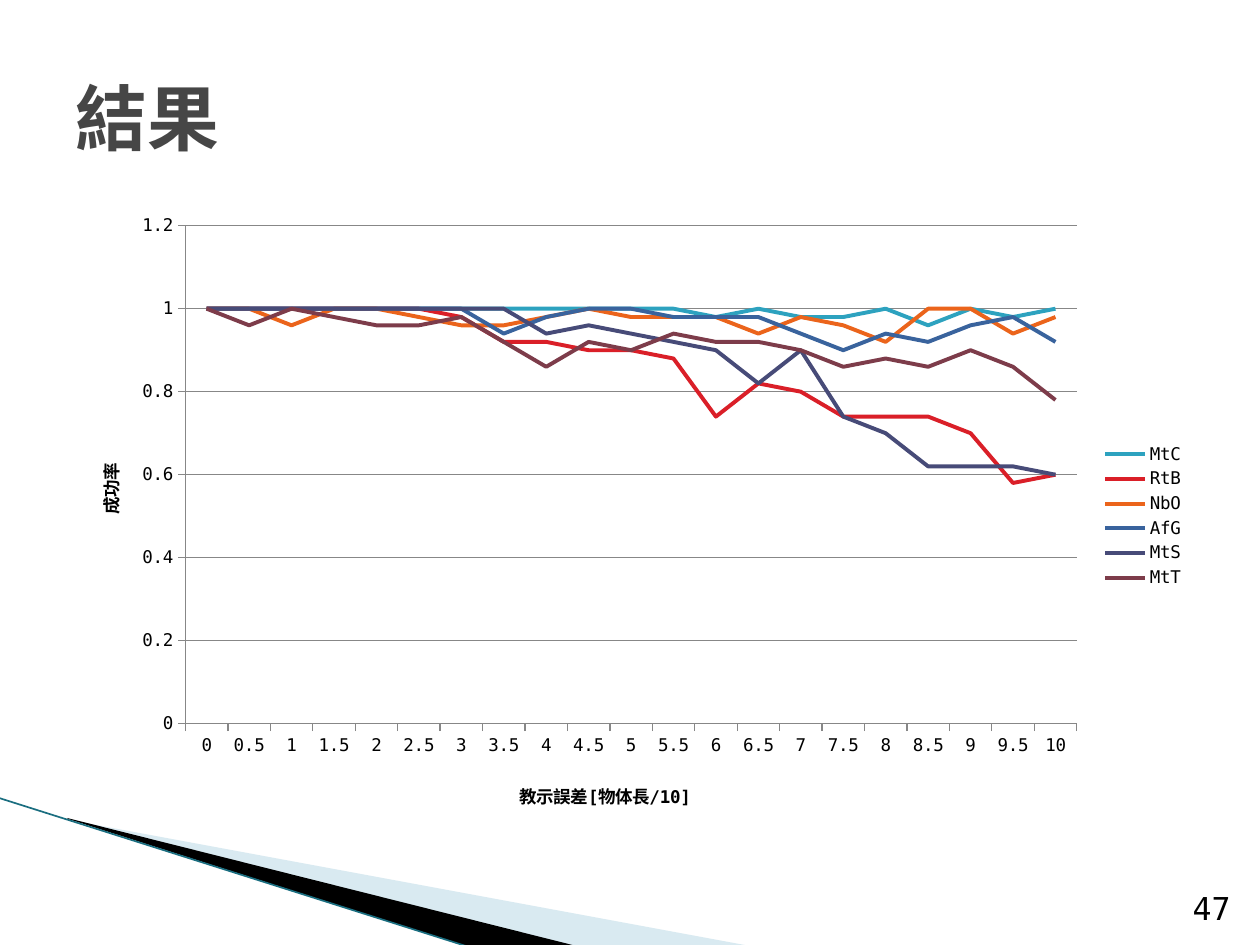
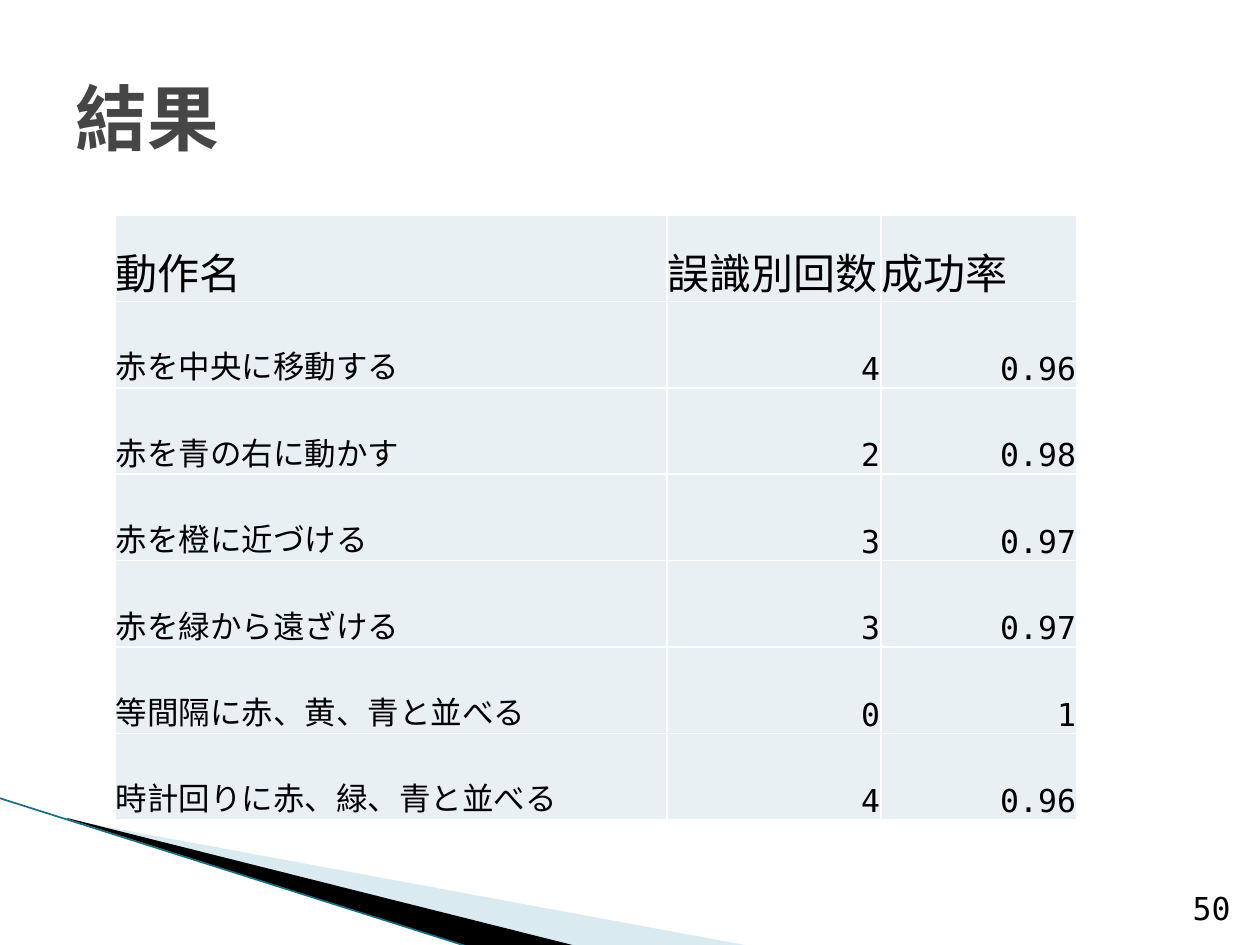
from lxml import etree
from pptx import Presentation
from pptx.chart.data import CategoryChartData
from pptx.dml.color import RGBColor
from pptx.enum.chart import XL_CHART_TYPE, XL_LEGEND_POSITION, XL_MARKER_STYLE, XL_TICK_MARK
from pptx.enum.shapes import MSO_CONNECTOR
from pptx.enum.text import MSO_ANCHOR, PP_ALIGN
from pptx.oxml import parse_xml
from pptx.oxml.ns import nsdecls, qn
from pptx.util import Emu, Pt

FONT = "DejaVu Sans Mono"
BLACK = RGBColor(0x00, 0x00, 0x00)
TITLE_GREY = RGBColor(0x46, 0x46, 0x46)
GRID_GREY = RGBColor(0x87, 0x87, 0x87)
PALE_BLUE = RGBColor(0xA0, 0xCB, 0xDC)
EDGE_TEAL = RGBColor(0x1A, 0x6E, 0x80)
CELL_FILL = RGBColor(0xE8, 0xF0, 0xF4)
WHITE = RGBColor(0xFF, 0xFF, 0xFF)

TITLE = "結果"
X_TITLE, Y_TITLE = "教示誤差[物体長/10]", "成功率"
CATEGORIES = [f"{i / 2:g}" for i in range(21)]
SERIES = [
    ("MtC", RGBColor(0x2D, 0xA2, 0xBF),
     [1, 1, 1, 1, 1, 1, 1, 1, 1, 1, 1, 1, 0.98, 1, 0.98, 0.98, 1, 0.96, 1, 0.98, 1]),
    ("RtB", RGBColor(0xDA, 0x1F, 0x28),
     [1, 1, 1, 1, 1, 1, 0.98, 0.92, 0.92, 0.9, 0.9, 0.88, 0.74, 0.82, 0.8,
      0.74, 0.74, 0.74, 0.7, 0.58, 0.6]),
    ("NbO", RGBColor(0xEB, 0x64, 0x1B),
     [1, 1, 0.96, 1, 1, 0.98, 0.96, 0.96, 0.98, 1, 0.98, 0.98, 0.98, 0.94, 0.98,
      0.96, 0.92, 1, 1, 0.94, 0.98]),
    ("AfG", RGBColor(0x39, 0x63, 0x9D),
     [1, 1, 1, 1, 1, 1, 1, 0.94, 0.98, 1, 1, 0.98, 0.98, 0.98, 0.94,
      0.9, 0.94, 0.92, 0.96, 0.98, 0.92]),
    ("MtS", RGBColor(0x47, 0x4B, 0x78),
     [1, 1, 1, 1, 1, 1, 1, 1, 0.94, 0.96, 0.94, 0.92, 0.9, 0.82, 0.9,
      0.74, 0.7, 0.62, 0.62, 0.62, 0.6]),
    ("MtT", RGBColor(0x7D, 0x3C, 0x4A),
     [1, 0.96, 1, 0.98, 0.96, 0.96, 0.98, 0.92, 0.86, 0.92, 0.9, 0.94, 0.92, 0.92, 0.9,
      0.86, 0.88, 0.86, 0.9, 0.86, 0.78]),
]
TABLE_ROWS = [
    ("動作名", "誤識別回数", "成功率"),
    ("赤を中央に移動する", "4", "0.96"),
    ("赤を青の右に動かす", "2", "0.98"),
    ("赤を橙に近づける", "3", "0.97"),
    ("赤を緑から遠ざける", "3", "0.97"),
    ("等間隔に赤、黄、青と並べる", "0", "1"),
    ("時計回りに赤、緑、青と並べる", "4", "0.96"),
]

# All lengths in px
SCALE = 914400 / 126
SLIDE_SIZE = (1260, 945)
TITLE_BOX = (63, 38, 1134, 158)
NUMBER_BOX = (1176, 883, 67, 50)
CHART_BOX = (63, 204, 1134, 624)
PLOT_BOX = (186, 226, 891, 498)
X_TITLE_AT, Y_TITLE_AT = (517, 779), (94, 460)
TABLE_AT, TABLE_HEIGHT = (115, 215), 605
COLUMN_WIDTHS = (552, 214, 196)
PALE_WEDGE = [(69, 820), (750, 946), (575, 946), (69, 819)]
BLACK_WEDGE = [(67, 818), (576, 946), (469, 947), (68, 819)]
EDGE_LINE = (-1, 798, 469, 947)


def px(n):
    return Emu(round(n * SCALE))


def style_font(font, size, color=BLACK, bold=False):
    font.name, font.size, font.bold = FONT, Pt(size), bold
    font.color.rgb = color


def write(tf, text, size, color=BLACK, bold=False, align=PP_ALIGN.LEFT):
    p = tf.paragraphs[0]
    p.alignment = align
    r = p.add_run()
    r.text = text
    style_font(r.font, size, color, bold)


def add_text(s, box, text, size, anchor, **style):
    tf = s.shapes.add_textbox(*map(px, box)).text_frame
    tf.word_wrap = True
    tf.vertical_anchor = anchor
    write(tf, text, size, **style)


def add_wedge(s, points, color, alpha=None):
    builder = s.shapes.build_freeform(*points[0], scale=SCALE)
    builder.add_line_segments(points[1:], close=True)
    sp = builder.convert_to_shape()
    sp.shadow.inherit = False
    sp.fill.solid()
    sp.fill.fore_color.rgb = color
    sp.line.fill.background()
    if alpha:
        clr = sp._element.spPr.find(".//" + qn("a:srgbClr"))
        etree.SubElement(clr, qn("a:alpha")).set("val", str(alpha * 1000))


def add_base_slide(prs, number):
    """Blank slide with the corner wedges, title and slide number."""
    s = prs.slides.add_slide(prs.slide_layouts[6])
    add_wedge(s, PALE_WEDGE, PALE_BLUE, alpha=40)
    add_wedge(s, BLACK_WEDGE, BLACK)
    edge = s.shapes.add_connector(MSO_CONNECTOR.STRAIGHT, *map(px, EDGE_LINE))
    edge.line.color.rgb = EDGE_TEAL
    edge.line.width = Pt(0.95)
    etree.SubElement(edge._element.spPr, qn("a:effectLst"))
    add_text(s, TITLE_BOX, TITLE, 41, MSO_ANCHOR.MIDDLE, color=TITLE_GREY, bold=True)
    add_text(s, NUMBER_BOX, number, 18, MSO_ANCHOR.BOTTOM, align=PP_ALIGN.RIGHT)
    return s


def layout_xml(x, y, w=None, h=None):
    """Manual chart layout for a place on the slide, as fractions of the chart."""
    left, top, width, height = CHART_BOX
    parts = [("xMode", "edge"), ("yMode", "edge"),
             ("x", round((x - left) / width, 3)), ("y", round((y - top) / height, 3))]
    if w:
        parts = [("layoutTarget", "inner"), *parts,
                 ("w", round(w / width, 3)), ("h", round(h / height, 3))]
    body = "".join(f'<c:{tag} val="{val}"/>' for tag, val in parts)
    return parse_xml(f'<c:layout {nsdecls("c")}><c:manualLayout>{body}</c:manualLayout></c:layout>')


def replace_layout(parent, layout, after=None):
    for old in parent.findall(qn("c:layout")):
        parent.remove(old)
    index = 0 if after is None else parent.index(parent.find(qn(after))) + 1
    parent.insert(index, layout)


def style_axis(axis, title, title_at):
    axis.major_tick_mark = XL_TICK_MARK.OUTSIDE
    axis.format.line.color.rgb = GRID_GREY
    axis.format.line.width = Pt(0.75)
    style_font(axis.tick_labels.font, 10)
    write(axis.axis_title.text_frame, title, 10, bold=True, align=None)
    replace_layout(axis.axis_title._element, layout_xml(*title_at), after="c:tx")


def add_success_chart(s):
    data = CategoryChartData()
    data.categories = CATEGORIES
    for name, _, values in SERIES:
        data.add_series(name, values)
    chart = s.shapes.add_chart(XL_CHART_TYPE.LINE, *map(px, CHART_BOX), data).chart
    style_font(chart.font, 10)
    chart.has_title = False
    chart.has_legend = True
    chart.legend.position = XL_LEGEND_POSITION.RIGHT
    chart.legend.include_in_layout = False
    style_font(chart.legend.font, 10)

    plot = chart.plots[0]
    plot.vary_by_categories = False
    for series, (_, color, _) in zip(plot.series, SERIES):
        series.smooth = False
        series.marker.style = XL_MARKER_STYLE.NONE
        series.format.line.color.rgb = color
        series.format.line.width = Pt(2.25)

    style_axis(chart.category_axis, X_TITLE, X_TITLE_AT)
    style_axis(chart.value_axis, Y_TITLE, Y_TITLE_AT)
    value_axis = chart.value_axis
    value_axis.minimum_scale, value_axis.maximum_scale = 0, 1.2
    value_axis.major_unit = 0.2
    value_axis.has_major_gridlines = True
    value_axis.major_gridlines.format.line.color.rgb = GRID_GREY
    value_axis.major_gridlines.format.line.width = Pt(0.75)
    replace_layout(chart._chartSpace.chart.plotArea, layout_xml(*PLOT_BOX))


def add_borders(cell):
    tcPr = cell._tc.get_or_add_tcPr()
    for i, side in enumerate(("lnL", "lnR", "lnT", "lnB")):
        tcPr.insert(i, parse_xml(
            f'<a:{side} {nsdecls("a")} w="{Pt(1)}"><a:solidFill>'
            f'<a:srgbClr val="{WHITE}"/></a:solidFill></a:{side}>'))


def add_result_table(s):
    size = (sum(COLUMN_WIDTHS), TABLE_HEIGHT)
    table = s.shapes.add_table(len(TABLE_ROWS), len(COLUMN_WIDTHS),
                               *map(px, TABLE_AT + size)).table
    for column, width in zip(table.columns, COLUMN_WIDTHS):
        column.width = px(width)
    for i, row in enumerate(TABLE_ROWS):
        table.rows[i].height = px(TABLE_HEIGHT / len(TABLE_ROWS))
        for j, text in enumerate(row):
            cell = table.cell(i, j)
            cell.margin_left = cell.margin_right = cell.margin_top = px(1)
            cell.margin_bottom = 0
            cell.vertical_anchor = MSO_ANCHOR.BOTTOM
            cell.fill.solid()
            cell.fill.fore_color.rgb = CELL_FILL
            add_borders(cell)
            is_number = i > 0 and j > 0
            write(cell.text_frame, text, 18 if i else 24,
                  align=PP_ALIGN.RIGHT if is_number else PP_ALIGN.LEFT)


def main():
    prs = Presentation()
    prs.slide_width, prs.slide_height = map(px, SLIDE_SIZE)
    add_success_chart(add_base_slide(prs, "47"))
    add_result_table(add_base_slide(prs, "50"))
    prs.save("out.pptx")


if __name__ == "__main__":
    main()
